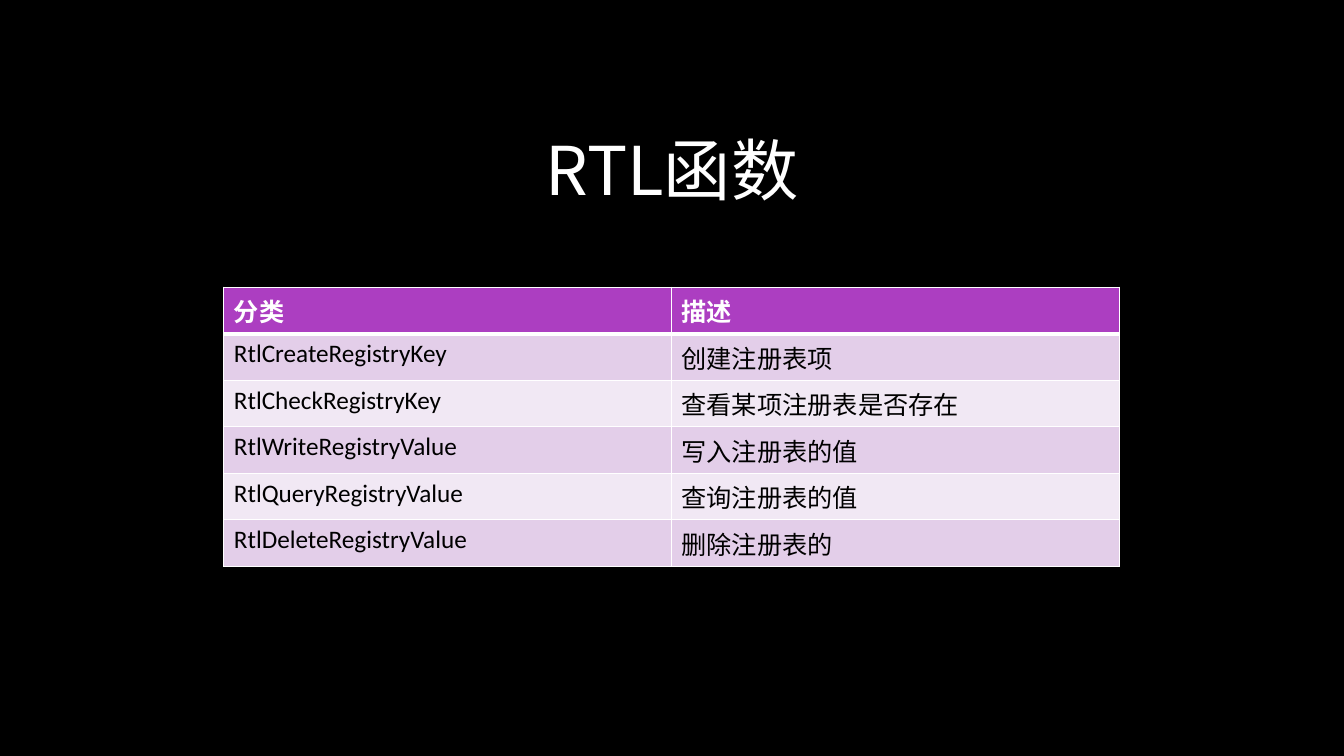
from dataclasses import dataclass
from typing import NamedTuple

from lxml import etree
from pptx import Presentation
from pptx.dml.color import RGBColor
from pptx.enum.text import MSO_ANCHOR, PP_ALIGN
from pptx.oxml.ns import qn
from pptx.util import Inches, Pt

BOTTOM = MSO_ANCHOR.BOTTOM
CENTER = PP_ALIGN.CENTER
BLANK_LAYOUT = 6


@dataclass(frozen=True)
class Theme:
    """Colours, fonts and sizes of the slide."""
    background: str = "000000"
    light: str = "FFFFFF"
    dark: str = "000000"
    header: str = "AC3EC1"
    bands: tuple[str, str] = ("E3CEE9", "F1E8F4")
    latin: str = "Calibri"
    asian: str = "Noto Sans CJK SC"
    title_size: int = 48
    table_size: int = 18
    thin: int = 1
    thick: int = 3


class Area(NamedTuple):
    """Left, top, width and height in inches."""
    left: float
    top: float
    width: float
    height: float


class FunctionRow(NamedTuple):
    """One table row: a function and what it does."""
    name: str
    description: str


THEME = Theme()
TITLE_AREA = Area(2.73, 1.17, 7.87, 0.95)
TABLE_AREA = Area(2.22, 2.85, 8.88, 2.77)
ROWS = [
    FunctionRow("分类", "描述"),
    FunctionRow("RtlCreateRegistryKey", "创建注册表项"),
    FunctionRow("RtlCheckRegistryKey", "查看某项注册表是否存在"),
    FunctionRow("RtlWriteRegistryValue", "写入注册表的值"),
    FunctionRow("RtlQueryRegistryValue", "查询注册表的值"),
    FunctionRow("RtlDeleteRegistryValue", "删除注册表的"),
]


def write_text(para, text: str, color: str, **formats) -> None:
    """Add a run with its font formats and the Asian typeface."""
    span = para.add_run()
    span.text = text
    for name, value in formats.items():
        setattr(span.font, name, value)
    span.font.color.rgb = RGBColor.from_string(color)
    latin = span.font._element.find(qn("a:latin"))
    asian = etree.Element(qn("a:ea"), typeface=THEME.asian)
    latin.addnext(asian)


def add_border(cell, side: str, points: int) -> None:
    """Draw one border line of a cell."""
    properties = cell._tc.get_or_add_tcPr()
    line = etree.SubElement(properties, qn(f"a:ln{side}"), w=str(Pt(points)))
    fill = etree.SubElement(line, qn("a:solidFill"))
    etree.SubElement(fill, qn("a:srgbClr"), val=THEME.light)


def fill_cell(cell, text: str, row: int) -> None:
    """Write and style a cell according to its row."""
    is_header = row == 0
    write_text(cell.text_frame.paragraphs[0], text,
               THEME.light if is_header else THEME.dark,
               name=THEME.latin, size=Pt(THEME.table_size), bold=is_header)
    widths = {
        "L": THEME.thin,
        "R": THEME.thin,
        "T": THEME.thick if row == 1 else THEME.thin,
        "B": THEME.thick if is_header else THEME.thin,
    }
    for side, points in widths.items():
        add_border(cell, side, points)
    color = THEME.header if is_header else THEME.bands[(row - 1) % 2]
    cell.fill.solid()
    cell.fill.fore_color.rgb = RGBColor.from_string(color)


def add_title(page, text: str) -> None:
    """Add the centred slide title."""
    box = page.shapes.add_textbox(*map(Inches, TITLE_AREA))
    for name, value in {"word_wrap": True, "vertical_anchor": BOTTOM}.items():
        setattr(box.text_frame, name, value)
    para = box.text_frame.paragraphs[0]
    para.alignment = CENTER
    write_text(para, text, THEME.light, name=THEME.asian,
               size=Pt(THEME.title_size))


def add_function_table(page, rows: list[FunctionRow]) -> None:
    """Add the table of registry functions."""
    columns = len(FunctionRow._fields)
    table = page.shapes.add_table(len(rows), columns,
                                  *map(Inches, TABLE_AREA)).table
    for row, texts in enumerate(rows):
        for column, text in enumerate(texts):
            fill_cell(table.cell(row, column), text, row)


def main() -> None:
    """Build and save the slide."""
    deck = Presentation()
    deck.slide_width, deck.slide_height = Inches(13.33), Inches(7.5)
    page = deck.slides.add_slide(deck.slide_layouts[BLANK_LAYOUT])
    page.background.fill.solid()
    page.background.fill.fore_color.rgb = RGBColor.from_string(THEME.background)
    add_title(page, "RTL函数")
    add_function_table(page, ROWS)
    deck.save("out.pptx")


main()
